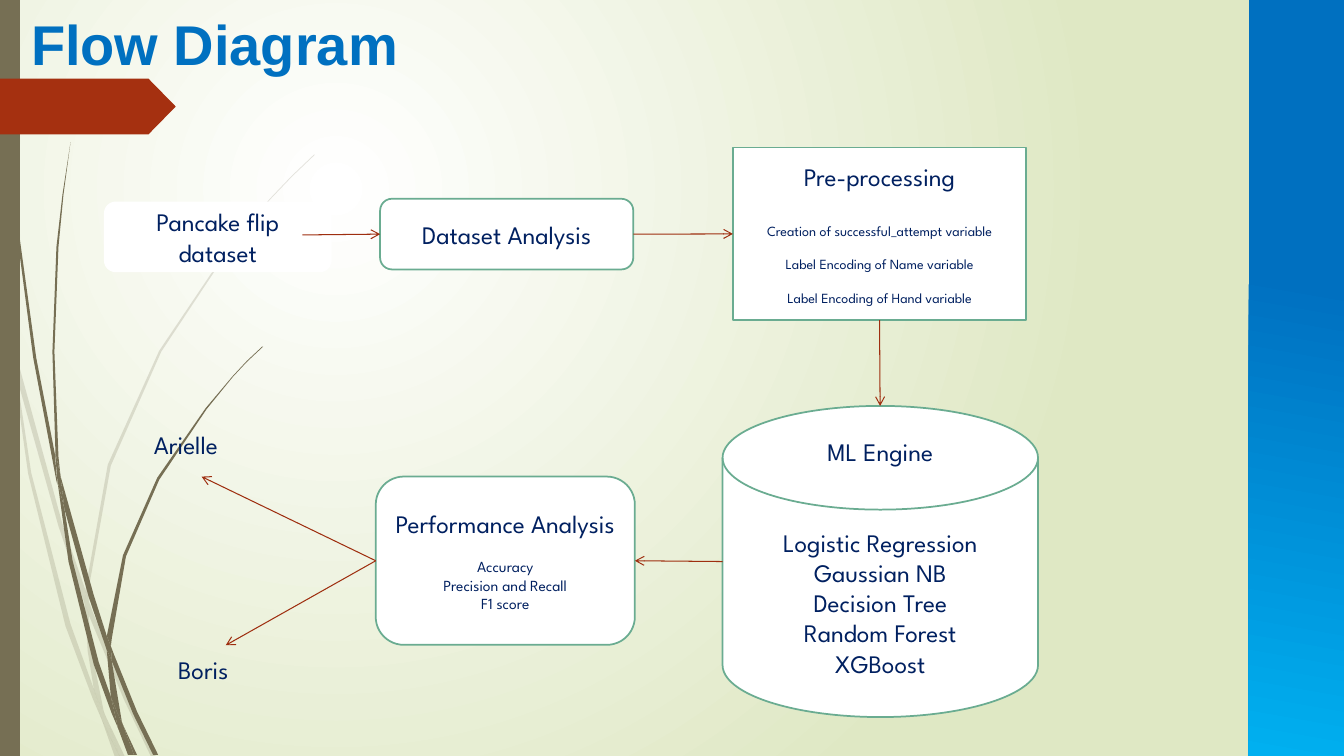
from lxml import etree
from pptx import Presentation
from pptx.dml.color import RGBColor
from pptx.enum.shapes import MSO_CONNECTOR, MSO_SHAPE
from pptx.enum.text import MSO_ANCHOR, MSO_AUTO_SIZE, PP_ALIGN
from pptx.oxml.ns import qn
from pptx.util import Cm, Pt

RECTANGLE, ROUNDED = MSO_SHAPE.RECTANGLE, MSO_SHAPE.ROUNDED_RECTANGLE
TAG, DISK = MSO_SHAPE.PENTAGON, MSO_SHAPE.FLOWCHART_MAGNETIC_DISK
STRAIGHT, MIDDLE, NO_AUTOSIZE = MSO_CONNECTOR.STRAIGHT, MSO_ANCHOR.MIDDLE, MSO_AUTO_SIZE.NONE
CENTER, LEFT = PP_ALIGN.CENTER, PP_ALIGN.LEFT
WIDTH, HEIGHT = 33.87, 19.05
GRASS_UNIT = Cm(.0254)
BODY_FONT, TITLE_FONT = "League Spartan", "Arial"
NAVY, WHITE, GREEN, ARROW_RED = "002060", "FFFFFF", "6AAC91", "9E2E0F"
BROWN, TAG_RED, BLUE, SKY, PALE = "766F54", "A53010", "0070C0", "00B0F0", "DFE8C4"
LEFT_SITE, BOTTOM_SITE, RIGHT_SITE = 1, 2, 3
FAINT_GRASS = [
    (11, 350, 9, 322, 0, 282, 0, 299, 10, 344),
    (58, 522, 84, 599, 85, 586, 62, 520, 14, 345, 17, 376),
    (92, 607, 88, 596, 88, 610, 123, 694, 150, 751, 155, 751, 127, 692),
    (119, 751, 124, 751, 105, 711),
    (93, 683, 70, 619, 31, 469, 17, 376, 11, 350, 28, 470, 65, 621, 92, 693, 101, 714, 99, 707),
    (84, 599, 87, 646, 93, 683, 96, 692, 105, 711, 103, 706, 91, 646, 88, 610, 88, 608),
    (88, 584, 110, 462, 160, 349, 229, 245, 268, 198, 290, 175, 312, 154, 312, 153, 289, 175,
     268, 197, 228, 244, 158, 348, 107, 461, 85, 584, 85, 586, 88, 596),
    (101, 714, 114, 751, 119, 751),
    (88, 608, 88, 610, 88, 596, 85, 586, 84, 599),
    (96, 692, 93, 683, 99, 707, 101, 714, 119, 751, 105, 711),
]
DARK_GRASS = [
    (7, 110, 17, 233, 33, 355, 56, 477, 57, 481, 55, 457, 55, 453, 36, 355, 19, 232, 8, 109,
     5, 48, 4, 0, 3, 0, 4, 48),
    (88, 592, 106, 645, 106, 633, 106, 631, 93, 590, 60, 472, 64, 505),
    (113, 649, 110, 641, 111, 656, 132, 708, 152, 749, 157, 749, 136, 706),
    (110, 691, 98, 657, 72, 556, 64, 505, 57, 477, 68, 557, 93, 659, 111, 708, 117, 722, 116, 717),
    (60, 472, 58, 453, 54, 349, 58, 245, 63, 193, 70, 141, 62, 193, 56, 245, 52, 349, 55, 449),
    (133, 749, 136, 749, 122, 719),
    (57, 477, 64, 505, 60, 472, 55, 449, 55, 453),
    (111, 633, 125, 552, 158, 476, 205, 406, 231, 374, 245, 359, 261, 344, 260, 344, 245, 358,
     231, 373, 204, 405, 156, 474, 122, 551, 106, 631, 110, 641),
    (117, 722, 127, 749, 131, 749),
    (106, 645, 110, 691, 116, 706, 122, 719, 121, 716, 111, 656, 109, 651),
    (106, 645, 109, 651, 111, 656, 110, 641, 106, 631, 106, 633),
    (116, 706, 110, 691, 116, 717, 117, 722, 130, 749, 133, 749, 122, 719),
]


def color(value):
    """Turn a hex string into a colour."""
    return RGBColor.from_string(value)


def set_stops(fill, stops):
    """Make a fill a gradient between two (position, colour) stops."""
    fill.gradient()
    for stop, (position, value) in zip(fill.gradient_stops, stops):
        stop.position, stop.color.rgb = position, color(value)


def paint_background(slide):
    """Give the slide a circular gradient."""
    set_stops(slide.background.fill, [(0, WHITE), (1, PALE)])
    gradient = slide._element.find(".//" + qn("a:gradFill"))
    circle = etree.Element(qn("a:path"), {"path": "circle"})
    etree.SubElement(circle, qn("a:fillToRect"), l="50000", t="50000", r="100000", b="100000")
    gradient.replace(gradient.find(qn("a:lin")), circle)


def style(shape, fill, line=None):
    """Give a shape a flat fill and an optional outline."""
    shape.shadow.inherit = False
    shape.fill.solid()
    shape.fill.fore_color.rgb = color(fill)
    if line:
        shape.line.color.rgb, shape.line.width = color(line), Pt(1.25)
    else:
        shape.line.fill.background()
    return shape


def add_block(slide, kind, box, fill, line=None):
    """Add a preset shape in the given box."""
    return style(slide.shapes.add_shape(kind, *map(Cm, box)), fill, line)


def write(paragraph, text, size, font=BODY_FONT, value=NAVY, bold=False):
    """Add one formatted run to a paragraph."""
    run = paragraph.add_run()
    run.text = text
    run.font.name, run.font.size, run.font.bold = font, Pt(size), bold
    run.font.color.rgb = color(value)


def add_blade(slide, numbers, left, top, opacity):
    """Draw a piece of grass from alternating x and y values."""
    points = list(zip(numbers[::2], numbers[1::2]))
    builder = slide.shapes.build_freeform(*points[0], scale=GRASS_UNIT)
    builder.add_line_segments(points[1:])
    blade = style(builder.convert_to_shape(Cm(left), Cm(top)), BROWN)
    if opacity < 100:
        hue = blade._element.spPr.find(".//" + qn("a:srgbClr"))
        etree.SubElement(hue, qn("a:alpha"), val=str(opacity * 1000))


def add_decoration(slide, box):
    """Draw the grass, side bars and tag."""
    left, top, width, height = box
    for blades, opacity in ((FAINT_GRASS, 20), (DARK_GRASS, 100)):
        for numbers in blades:
            add_blade(slide, numbers, left, top, opacity)
    add_block(slide, RECTANGLE, (left, top, .5, height), BROWN)
    tag = add_block(slide, TAG, (left, top + 1.98, 4.43, 1.41), TAG_RED)
    tag.adjustments[0] = .49
    band = add_block(slide, RECTANGLE, (left + width - 2.4, top, 2.4, height), BLUE)
    set_stops(band.fill, [(.37, BLUE), (1, SKY)])
    band.fill.gradient_angle = 260


def add_title(slide, box):
    """Place and format the title."""
    title = slide.shapes.title
    title.left, title.top, title.width, title.height = map(Cm, box)
    frame = title.text_frame
    frame.auto_size, frame.vertical_anchor = NO_AUTOSIZE, MIDDLE
    frame.paragraphs[0].alignment = LEFT
    write(frame.paragraphs[0], "Flow Diagram", 40, TITLE_FONT, BLUE, True)


def add_step(slide, kind, box, lines, line=GREEN):
    """Add a step with (text, size, space after) lines."""
    shape = add_block(slide, kind, box, WHITE, line)
    frame = shape.text_frame
    frame.word_wrap, frame.vertical_anchor = True, MIDDLE
    for index, (text, size, space) in enumerate(lines):
        paragraph = frame.add_paragraph() if index else frame.paragraphs[0]
        paragraph.alignment, paragraph.space_after = CENTER, Pt(space)
        write(paragraph, text, size)
    return shape


def add_arrow(slide, start, end, start_join=None, end_join=None):
    """Draw an arrow, joined to (shape, site) pairs where given."""
    arrow = slide.shapes.add_connector(STRAIGHT, *map(Cm, (*start, *end)))
    if start_join:
        arrow.begin_connect(*start_join)
    if end_join:
        arrow.end_connect(*end_join)
    arrow.line.color.rgb, arrow.line.width = color(ARROW_RED), Pt(.75)
    etree.SubElement(arrow.line._get_or_add_ln(), qn("a:tailEnd"), type="arrow")
    etree.SubElement(arrow._element.spPr, qn("a:effectLst"))


def add_flow(slide, box):
    """Draw the steps, arrows and outcome labels."""
    def at(x, y, *size):
        return (box[0] + x, box[1] + y, *size)

    add_step(slide, ROUNDED, at(.12, 1.58, 5.74, 1.78), [("Pancake flip dataset", 18, 0)], None)
    dataset = add_step(slide, ROUNDED, at(7.08, 1.51, 6.38, 1.78), [("Dataset Analysis", 18, 0)])
    preprocessing = add_step(slide, RECTANGLE, at(15.97, .22, 7.39, 4.35), [
        ("Pre-processing", 18, 21.6), ("Creation of successful_attempt variable", 10, 12),
        ("Label Encoding of Name variable", 10, 12), ("Label Encoding of Hand variable", 10, 0)])
    models = ["Logistic Regression", "Gaussian NB", "Decision Tree", "Random Forest", "XGBoost"]
    engine = add_step(slide, DISK, at(15.71, 6.73, 7.95, 7.84),
                      [("ML Engine", 18, 43.2)] + [(model, 18, 0) for model in models])
    engine.text_frame.margin_bottom = Cm(1.65)
    performance = add_step(slide, ROUNDED, at(6.97, 8.51, 6.53, 4.24), [
        ("Performance Analysis", 18, 13.2), ("Accuracy", 11, 0),
        ("Precision and Recall", 11, 0), ("F1 score", 11, 0)])
    add_arrow(slide, at(5.12, 2.42), at(7.08, 2.4), None, (dataset, LEFT_SITE))
    add_arrow(slide, at(13.46, 2.4), at(15.97, 2.4), (dataset, RIGHT_SITE), (preprocessing, LEFT_SITE))
    add_arrow(slide, at(19.67, 4.57), at(19.68, 6.73), (preprocessing, BOTTOM_SITE))
    add_arrow(slide, at(15.71, 10.65), at(13.5, 10.63), None, (performance, RIGHT_SITE))
    outcomes = [("Arielle", (1.13, 7.19), (2.58, 8.51)), ("Boris", (1.74, 12.86), (3.19, 12.76))]
    for name, corner, tip in outcomes:
        add_arrow(slide, at(6.97, 10.63), at(*tip), (performance, LEFT_SITE))
        label = slide.shapes.add_textbox(*map(Cm, at(*corner, 3.45, 1.04)))
        label.text_frame.word_wrap = True
        write(label.text_frame.paragraphs[0], name, 18)


def main():
    """Build and save the presentation."""
    presentation = Presentation()
    presentation.slide_width, presentation.slide_height = Cm(WIDTH), Cm(HEIGHT)
    slide = presentation.slides.add_slide(presentation.slide_layouts[5])
    paint_background(slide)
    add_decoration(slide, (0, 0, WIDTH, HEIGHT))
    add_title(slide, (.53, .1, 29.06, 1.96))
    add_flow(slide, (2.5, 3.5, 24, 15))
    presentation.save("out.pptx")


if __name__ == "__main__":
    main()
